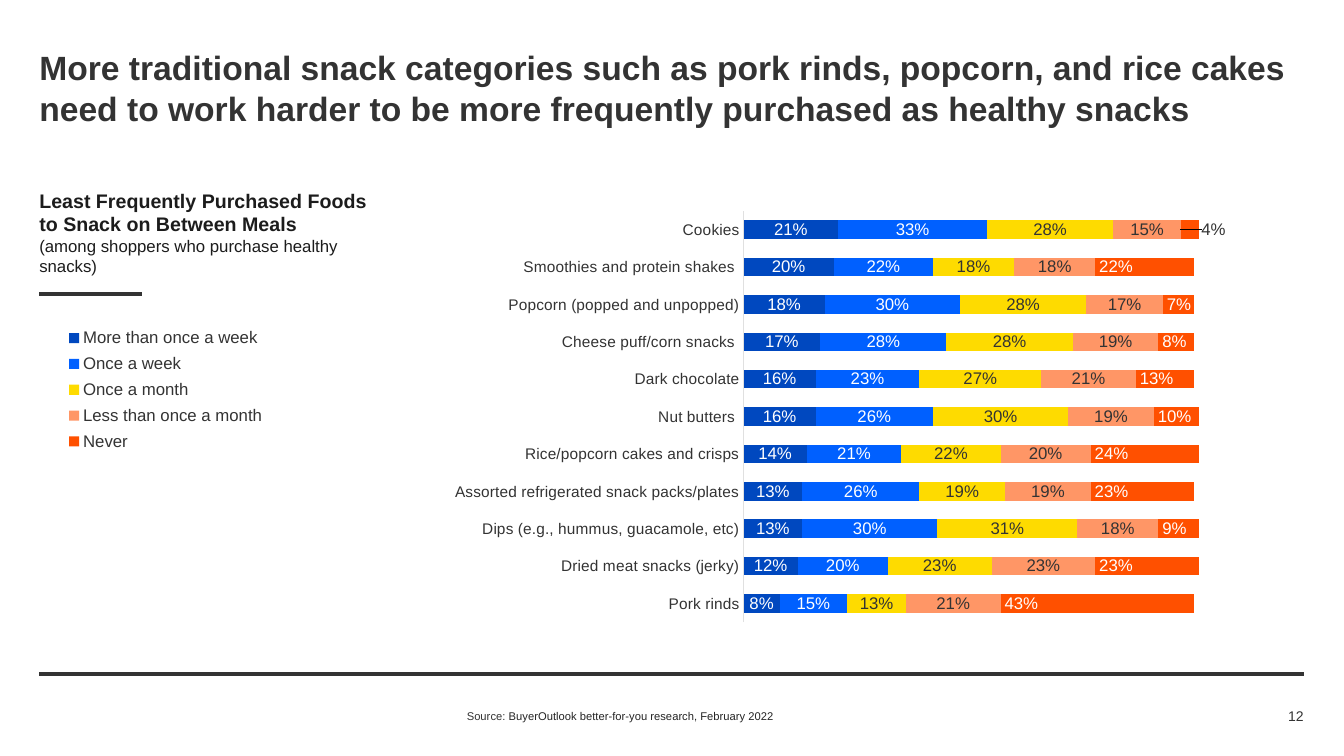
from lxml import etree
from pptx import Presentation
from pptx.chart.data import CategoryChartData
from pptx.dml.color import RGBColor
from pptx.enum.chart import (XL_CHART_TYPE, XL_LABEL_POSITION, XL_LEGEND_POSITION,
                             XL_TICK_MARK)
from pptx.enum.shapes import MSO_CONNECTOR
from pptx.enum.text import MSO_ANCHOR, MSO_AUTO_SIZE, PP_ALIGN
from pptx.oxml.ns import qn
from pptx.util import Inches, Pt

BAR_STACKED = XL_CHART_TYPE.BAR_STACKED
CENTER, INSIDE_BASE = XL_LABEL_POSITION.CENTER, XL_LABEL_POSITION.INSIDE_BASE
LEGEND_LEFT = XL_LEGEND_POSITION.LEFT
NO_TICK = XL_TICK_MARK.NONE
STRAIGHT = MSO_CONNECTOR.STRAIGHT
TOP, MIDDLE = MSO_ANCHOR.TOP, MSO_ANCHOR.MIDDLE
LEFT, RIGHT = PP_ALIGN.LEFT, PP_ALIGN.RIGHT

FONT = "Arial"
COLORS = {
    "text": "333333", "heading": "1C1C1C", "source": "242424", "axis": "E0E0E0",
    "white": "FFFFFF", "navy": "0048BF", "blue": "0060FF", "yellow": "FEDB00",
    "peach": "FF9666", "orange": "FF5000",
}
MARGIN, CONTENT_WIDTH = 0.39, 12.54

FOODS = [
    "Pork rinds", "Dried meat snacks (jerky)", "Dips (e.g., hummus, guacamole, etc)",
    "Assorted refrigerated snack packs/plates", "Rice/popcorn cakes and crisps",
    "Nut butters ", "Dark chocolate", "Cheese puff/corn snacks ",
    "Popcorn (popped and unpopped)", "Smoothies and protein shakes ", "Cookies",
]
# Name, bar colour, label colour, label position, percentages in the order of FOODS
FREQUENCIES = [
    ("More than once a week", "navy", "white", CENTER,
     [8, 12, 13, 13, 14, 16, 16, 17, 18, 20, 21]),
    ("Once a week", "blue", "white", CENTER,
     [15, 20, 30, 26, 21, 26, 23, 28, 30, 22, 33]),
    ("Once a month", "yellow", "text", CENTER,
     [13, 23, 31, 19, 22, 30, 27, 28, 28, 18, 28]),
    ("Less than once a month", "peach", "text", CENTER,
     [21, 23, 18, 19, 20, 19, 21, 19, 17, 18, 15]),
    ("Never", "orange", "white", INSIDE_BASE,
     [43, 23, 9, 23, 24, 10, 13, 8, 7, 22, 4]),
]


def rgb(name):
    return RGBColor.from_string(COLORS[name])


def set_font(font, size, color, bold=False):
    font.name, font.size, font.bold = FONT, Pt(size), bold
    font.color.rgb = rgb(color)


def place(shape, box):
    shape.left, shape.top, shape.width, shape.height = (Inches(v) for v in box)


def write(frame, paragraphs, anchor=TOP, align=LEFT, before=0):
    """Each paragraph is a list of (text, size, color, bold) runs."""
    frame.word_wrap = True
    frame.auto_size = MSO_AUTO_SIZE.NONE
    frame.vertical_anchor = anchor
    frame.margin_left = frame.margin_right = frame.margin_top = frame.margin_bottom = 0
    for index, runs in enumerate(paragraphs):
        para = frame.add_paragraph() if index else frame.paragraphs[0]
        para.alignment = align
        para.space_before = Pt(before)
        for text, size, color, bold in runs:
            span = para.add_run()
            span.text = text
            set_font(span.font, size, color, bold)


def add_text(page, box, paragraphs, **options):
    shape = page.shapes.add_textbox(*(Inches(v) for v in box))
    write(shape.text_frame, paragraphs, **options)


def add_rule(page, left, top, width):
    rule = page.shapes.add_connector(STRAIGHT, Inches(left), Inches(top),
                                     Inches(left + width), Inches(top))
    rule.line.color.rgb = rgb("text")
    rule.line.width = Pt(3)
    etree.SubElement(rule._element.spPr, qn("a:effectLst"))


def manual_layout(**values):
    layout = etree.Element(qn("c:layout"))
    manual = etree.SubElement(layout, qn("c:manualLayout"))
    for tag, value in values.items():
        etree.SubElement(manual, qn(f"c:{tag}")).set("val", str(value))
    return layout


def set_layout(parent, after, layout):
    """Put a layout behind the named child, or first when there is none."""
    for old in parent.findall(qn("c:layout")):
        parent.remove(old)
    anchor = parent.find(qn(after)) if after else None
    parent.insert(0 if anchor is None else parent.index(anchor) + 1, layout)


def add_title(page, box):
    title = page.shapes.title
    place(title, box)
    write(title.text_frame, [[(
        "More traditional snack categories such as pork rinds, popcorn, and rice cakes "
        "need to work harder to be more frequently purchased as healthy snacks",
        24, "text", True)]], before=6)


def add_frequency_chart(page, box):
    data = CategoryChartData(number_format="0%")
    data.categories = FOODS
    for name, _, _, _, percents in FREQUENCIES:
        data.add_series(name, [percent / 100 for percent in percents])
    chart = page.shapes.add_chart(BAR_STACKED, *(Inches(v) for v in box), data).chart
    set_font(chart.font, 10, "text")
    chart.has_title = False

    # Plot and axes
    plot = chart.plots[0]
    plot.gap_width, plot.overlap, plot.vary_by_categories = 102, 100, False
    foods = chart.category_axis
    foods.major_tick_mark = foods.minor_tick_mark = NO_TICK
    foods.format.line.color.rgb = rgb("axis")
    foods.format.line.width = Pt(0.75)
    set_font(foods.tick_labels.font, 11, "text")
    shares = chart.value_axis
    shares.minimum_scale, shares.maximum_scale = 0, 1.2
    shares.has_major_gridlines = False
    shares.visible = False
    set_layout(chart._chartSpace.chart.plotArea, None, manual_layout(
        layoutTarget="inner", xMode="edge", yMode="edge",
        x=0.557, y=0.051, w=0.428, h=0.929))

    # Bars and their labels
    for series, (_, fill, label_color, position, _) in zip(plot.series, FREQUENCIES):
        series.format.fill.solid()
        series.format.fill.fore_color.rgb = rgb(fill)
        labels = series.data_labels
        labels.show_value = True
        labels.number_format, labels.number_format_is_linked = "0%", False
        labels.position = position
        set_font(labels.font, 12, label_color)

    # The last bar is too short for its label, which moves to the right
    never = plot.series[-1]
    label = never.points[FOODS.index("Cookies")].data_label
    set_font(label.font, 12, "text")
    label.position = INSIDE_BASE
    point = never.data_labels._element.find(qn("c:dLbl"))
    set_layout(point, "c:idx", manual_layout(x=0.013, y=0))
    number = etree.Element(qn("c:numFmt"), formatCode="0%", sourceLinked="0")
    point.find(qn("c:layout")).addnext(number)

    # Legend
    chart.has_legend = True
    legend = chart.legend
    legend.position, legend.include_in_layout = LEGEND_LEFT, False
    set_font(legend.font, 12, "text")
    set_layout(legend._element, "c:legendPos", manual_layout(
        xMode="edge", yMode="edge", x=0, y=0.3, w=0.2, h=0.31))


def add_chart_heading(page, box):
    left, top, _, _ = box
    add_text(page, box, [
        [("Least Frequently Purchased Foods to Snack on Between Meals", 14, "heading", True)],
        [("(among shoppers who purchase healthy snacks)", 12, "heading", False)],
    ])
    add_rule(page, left, top + 1.05, 1.02)


def add_footer(page, box):
    left, top, width, _ = box
    add_rule(page, left, top, width)
    add_text(page, (left + 4.24, top + 0.3, 7.14, 0.22), [[
        ("Source: ", 8, "text", False),
        ("BuyerOutlook better-for-you research, February 2022", 8, "source", False),
    ]], anchor=MIDDLE)
    add_text(page, (left + width - 1.06, top + 0.3, 1.06, 0.22),
             [[("12", 10, "text", False)]], anchor=MIDDLE, align=RIGHT)


def main():
    deck = Presentation()
    deck.slide_width, deck.slide_height = Inches(13.33), Inches(7.5)
    page = deck.slides.add_slide(deck.slide_layouts[5])
    add_footer(page, (MARGIN, 6.69, CONTENT_WIDTH, 0.52))
    add_frequency_chart(page, (MARGIN, 1.87, CONTENT_WIDTH, 4.39))
    add_title(page, (MARGIN, 0.47, CONTENT_WIDTH, 0.44))
    add_chart_heading(page, (MARGIN, 1.87, 3.3, 0.66))
    deck.save("out.pptx")


if __name__ == "__main__":
    main()
